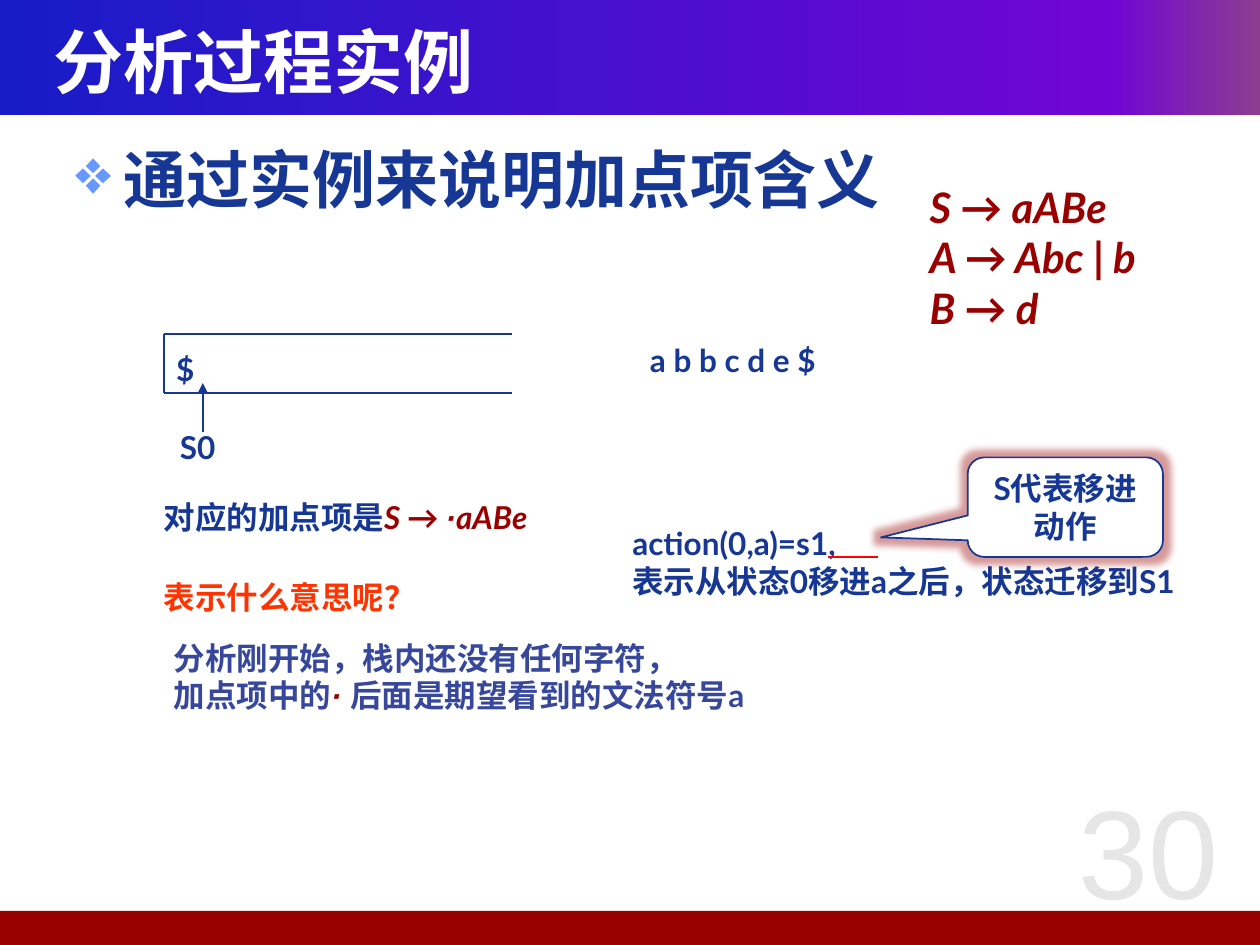
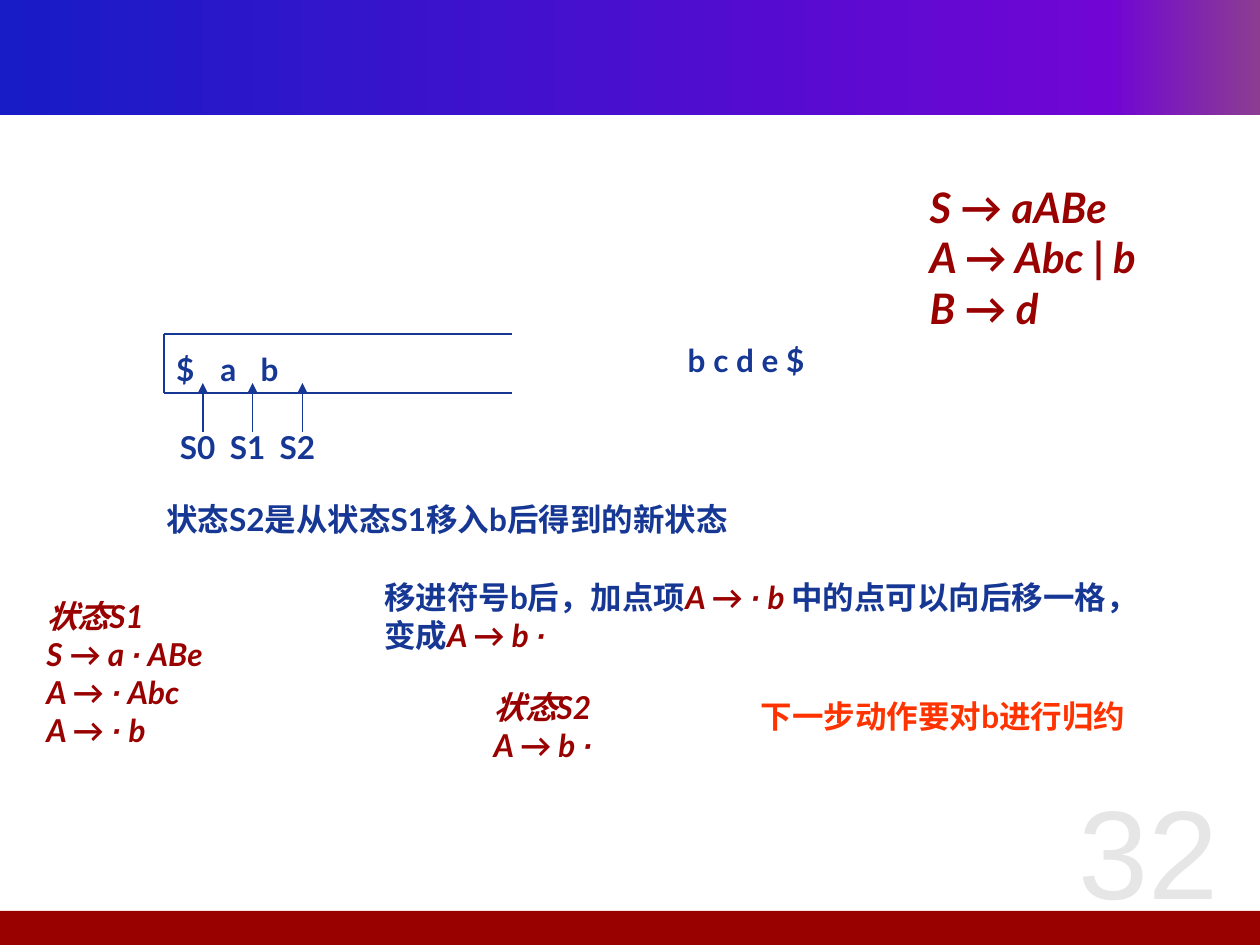
from copy import deepcopy

from lxml.etree import SubElement
from pptx import Presentation
from pptx.dml.color import RGBColor
from pptx.enum.shapes import MSO_CONNECTOR as CONNECTOR, MSO_SHAPE as SHAPE
from pptx.enum.text import MSO_ANCHOR as ANCHOR, PP_ALIGN as ALIGN
from pptx.oxml.ns import qn
from pptx.util import Pt

PX = 9144  # EMU per px, 100 px to the inch
NAVY, RED, ORANGE, VIOLET = "163794", "990000", "FF3300", "36479C"
WHITE, PALE_GREY, BULLET_BLUE, UNDERLINE_RED = "FFFFFF", "E6E6E6", "6699FF", "FF0000"
BAND_STOPS = [(0, "181CC7"), (0.88, "7005D4"), (1, "8C3D91")]
LATIN, CHINESE, DOT_FONT = "Lato", "Noto Sans CJK SC", "Arial"

# Run styles: font, colour, italic
NOTE = (LATIN, NAVY, False)
ANSWER = (LATIN, VIOLET, False)
ALERT = (LATIN, ORANGE, False)
RULE = (LATIN, RED, True)
BAR = (LATIN, RED, False)
DOT = (DOT_FONT, RED, True)
TITLE = (CHINESE, WHITE, False)
HEADING = (CHINESE, NAVY, False)
NUMBER = (DOT_FONT, PALE_GREY, False)

GRAMMAR = [[("S → aABe", RULE)],
           [("A → Abc ", RULE), ("|", BAR), (" b", RULE)],
           [("B → d", RULE)]]

# Stack drawing
STACK_LEFT, STACK_RIGHT, STACK_TOP, STACK_BOTTOM = 130, 406, 265, 312
STATE_LEFT, STATE_STEP = 133, 39.5


def color(hex_string):
    return RGBColor.from_string(hex_string)


def emu(*lengths):
    return [round(length * PX) for length in lengths]


def item(text):
    """Runs of a dotted item, with its dot in the dot font."""
    before, dot, after = text.partition("·")
    return [(part, style) for part, style in
            ((before, RULE), (dot, DOT), (after, RULE)) if part]


def write(frame, paragraphs, size=18, bold=True, align=None, anchor=ANCHOR.TOP):
    frame.word_wrap = True
    frame.vertical_anchor = anchor
    for index, runs in enumerate(paragraphs):
        paragraph = frame.paragraphs[0] if index == 0 else frame.add_paragraph()
        paragraph.alignment = align
        for text, (face, ink, italic) in runs:
            run = paragraph.add_run()
            run.text = text
            font = run.font
            font.size, font.bold, font.italic = Pt(size), bold, italic
            font.color.rgb = color(ink)
            font.name = face
            east_asian = CHINESE if face == LATIN else face
            SubElement(font._element, qn("a:ea"), typeface=east_asian)


def add_text(slide, box, paragraphs, **options):
    frame = slide.shapes.add_textbox(*emu(*box)).text_frame
    write(frame, paragraphs, **options)
    return frame


def add_block(slide, kind, box, fill=None):
    block = slide.shapes.add_shape(kind, *emu(*box))
    block.shadow.inherit = False
    block.line.fill.background()
    if fill:
        block.fill.solid()
        block.fill.fore_color.rgb = color(fill)
    return block


def add_line(slide, start, end, ink=NAVY, arrow=False):
    line = slide.shapes.add_connector(CONNECTOR.STRAIGHT, *emu(*start, *end))
    line.line.width = Pt(1)
    line.line.color.rgb = color(ink)
    if arrow:
        SubElement(line.line._get_or_add_ln(), qn("a:tailEnd"), type="triangle")
    SubElement(line._element.spPr, qn("a:effectLst"))


def add_bullet(paragraph, indent):
    properties = paragraph._p.get_or_add_pPr()
    hang = emu(indent)[0]
    properties.set("marL", str(hang))
    properties.set("indent", str(-hang))
    bullet_color = SubElement(properties, qn("a:buClr"))
    SubElement(bullet_color, qn("a:srgbClr"), val=BULLET_BLUE)
    SubElement(properties, qn("a:buChar"), char="❖")


def add_bands(slide, number):
    """Gradient header, red footer and page number."""
    header = add_block(slide, SHAPE.RECTANGLE, (0, 0, 1000, 91))
    header.fill.gradient()
    header.fill.gradient_angle = 0
    stops = header._element.spPr.find(".//" + qn("a:gsLst"))
    stops.append(deepcopy(stops[0]))
    for stop, (position, ink) in zip(header.fill.gradient_stops, BAND_STOPS):
        stop.position = position
        stop.color.rgb = color(ink)
    add_block(slide, SHAPE.RECTANGLE, (-4, 723, 1004, 27), RED)
    add_text(slide, (823, 603, 177, 142), [[(number, NUMBER)]], size=72,
             bold=False, align=ALIGN.CENTER, anchor=ANCHOR.MIDDLE)


def add_stack(slide, symbols, state_count):
    """Open-ended stack, its symbols and the states pointing at it."""
    for y in (STACK_TOP, STACK_BOTTOM):
        add_line(slide, (STACK_LEFT, y), (STACK_RIGHT, y))
    add_line(slide, (STACK_LEFT, STACK_TOP), (STACK_LEFT, STACK_BOTTOM))
    for symbol, left in zip(symbols, (130, 165, 197)):
        add_text(slide, (left, 273, 36, 40), [[(symbol, NOTE)]])
    for state in range(state_count):
        left = STATE_LEFT + state * STATE_STEP
        add_text(slide, (left, 335, 52, 40), [[(f"S{state}", NOTE)]])
        add_line(slide, (left + 28, 343), (left + 28, 304), arrow=True)


def add_callout(slide, box, text):
    callout = add_block(slide, SHAPE.ROUNDED_RECTANGULAR_CALLOUT, box, WHITE)
    for index, value in enumerate((-0.944, 0.304, 0.167)):
        callout.adjustments[index] = value
    callout.line.color.rgb = color(NAVY)
    callout.line.width = Pt(1)
    effects = callout._element.spPr.find(qn("a:effectLst"))
    glow = SubElement(effects, qn("a:glow"), rad="101600")
    glow_color = SubElement(glow, qn("a:srgbClr"), val=RED)
    SubElement(glow_color, qn("a:alpha"), val="40000")
    write(callout.text_frame, [[(text, NOTE)]], align=ALIGN.CENTER, anchor=ANCHOR.MIDDLE)


def start_slide(deck, number, symbols, state_count):
    slide = deck.slides.add_slide(deck.slide_layouts[6])
    add_bands(slide, number)
    add_stack(slide, symbols, state_count)
    add_text(slide, (728, 139, 220, 131), GRAMMAR, size=24)
    return slide


def build_start_state(deck):
    slide = start_slide(deck, "30", "$", 1)
    add_text(slide, (33, 17, 925, 62), [[("分析过程实例", TITLE)]],
             size=40, anchor=ANCHOR.MIDDLE)
    heading = add_text(slide, (50, 107, 900, 574),
                       [[("通过实例来说明加点项含义", HEADING)]], size=36)
    add_bullet(heading.paragraphs[0], 38)

    # Remaining input and the first dotted item
    add_text(slide, (506, 266, 170, 40), [[("a b b c d e $", NOTE)]])
    add_text(slide, (120, 390, 339, 40),
             [[("对应的加点项是", NOTE)] + item("S → ·aABe")])
    add_text(slide, (120, 454, 222, 40), [[("表示什么意思呢？", ALERT)]])
    add_text(slide, (128, 502, 479, 70),
             [[("分析刚开始，栈内还没有任何字符，", ANSWER)],
              [("加点项中的", ANSWER), ("· ", DOT),
               ("后面是期望看到的文法符号a", ANSWER)]])

    # Shift action
    add_text(slide, (492, 411, 472, 70),
             [[("action(0,a)=s1,", NOTE)],
              [("表示从状态0移进a之后，状态迁移到S1", NOTE)]])
    add_line(slide, (697, 442), (657, 442), UNDERLINE_RED)
    add_callout(slide, (768, 363, 155, 79), "S代表移进动作")


def build_shifted_state(deck):
    slide = start_slide(deck, "32", "$ab".strip(), 3)
    # Remaining input and the new state
    add_text(slide, (536, 266, 131, 40), [[("b c d e $", NOTE)]])
    add_text(slide, (122, 392, 496, 40),
             [[("状态S2是从状态S1移入b后得到的新状态", NOTE)]])
    add_text(slide, (295, 454, 653, 70),
             [[("移进符号b后，加点项", NOTE), *item("A → · b "),
               ("中的点可以向后移一格，", NOTE)],
              [("变成", NOTE), *item("A → b ·")]])

    # Item sets of the two states
    add_text(slide, (27, 469, 173, 130),
             [item(line) for line in
              ("状态S1", "S → a · ABe", "A → · Abc", "A → · b")])
    add_text(slide, (382, 541, 173, 70),
             [item(line) for line in ("状态S2", "A → b ·")])
    add_text(slide, (594, 548, 331, 40), [[("下一步动作要对b进行归约", ALERT)]])


def main():
    deck = Presentation()
    deck.slide_width, deck.slide_height = emu(1000, 750)
    build_start_state(deck)
    build_shifted_state(deck)
    deck.save("out.pptx")


if __name__ == "__main__":
    main()
